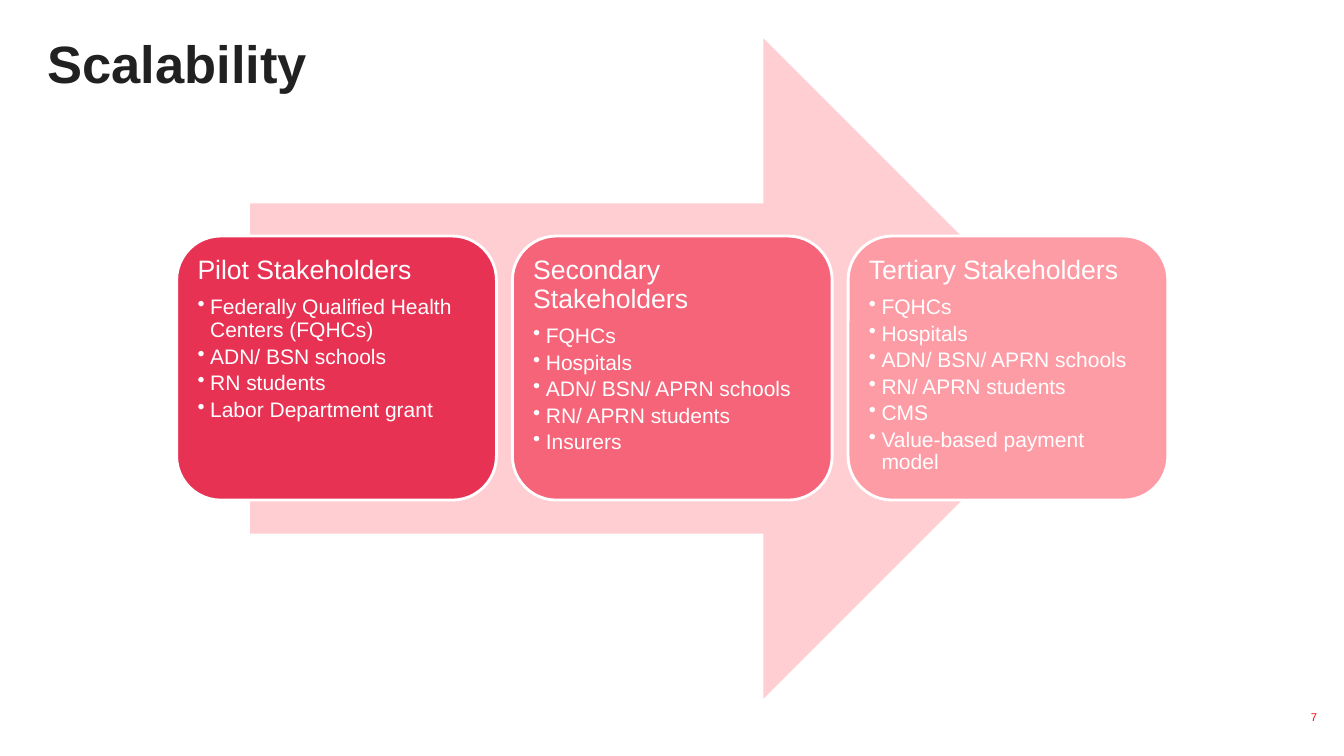
import pptx
import pptx.dml.color
import pptx.enum.shapes
import pptx.enum.text
import pptx.oxml.ns
import pptx.util
import lxml.etree

Pt = pptx.util.Pt
SHAPES = pptx.enum.shapes.MSO_SHAPE
ANCHOR = pptx.enum.text.MSO_ANCHOR
ALIGN = pptx.enum.text.PP_ALIGN


def colour(hex_string):
    return pptx.dml.color.RGBColor.from_string(hex_string)


def add_bullet(paragraph, indent):
    """Hang a round bullet to the left of the paragraph by the indent."""
    properties = paragraph._p.get_or_add_pPr()
    properties.set("marL", str(indent))
    properties.set("indent", str(-indent))
    bullet = lxml.etree.SubElement(properties, pptx.oxml.ns.qn("a:buChar"))
    bullet.set("char", "•")


deck = pptx.Presentation()
deck.slide_width, deck.slide_height = Pt(960), Pt(540)
slide = deck.slides.add_slide(deck.slide_layouts[5])

title = slide.shapes.title
title.left, title.top, title.width, title.height = Pt(34), Pt(21.6), Pt(799), Pt(45.4)
title_frame = title.text_frame
title_frame.margin_left = title_frame.margin_right = 0
title_frame.margin_top = title_frame.margin_bottom = 0
title_frame.vertical_anchor = ANCHOR.BOTTOM
title_frame.text = "Scalability"
heading = title_frame.paragraphs[0]
heading.alignment = ALIGN.LEFT
heading.font.name, heading.font.size, heading.font.bold = "Arial", Pt(37.5), True
heading.font.color.rgb = colour("212121")

page_number = slide.shapes.add_textbox(Pt(912), Pt(499), Pt(36), Pt(26))
page_number.text_frame.word_wrap = True
page_number.text_frame.vertical_anchor = ANCHOR.MIDDLE
page_number.text_frame.text = "7"
number = page_number.text_frame.paragraphs[0]
number.alignment = ALIGN.RIGHT
number.font.name, number.font.size = "Arial", Pt(8)
number.font.color.rgb = colour("FF0000")

growth_arrow = slide.shapes.add_shape(
    SHAPES.RIGHT_ARROW, Pt(178.6), Pt(27.4), Pt(602.6), Pt(471.6))
growth_arrow.shadow.inherit = False
growth_arrow.fill.solid()
growth_arrow.fill.fore_color.rgb = colour("FFCED2")
growth_arrow.line.fill.background()

stages = [
    ("Pilot Stakeholders", "E73254",
     ["Federally Qualified Health Centers (FQHCs)", "ADN/ BSN schools",
      "RN students", "Labor Department grant"]),
    ("Secondary Stakeholders", "F66479",
     ["FQHCs", "Hospitals", "ADN/ BSN/ APRN schools", "RN/ APRN students",
      "Insurers"]),
    ("Tertiary Stakeholders", "FE9CA6",
     ["FQHCs", "Hospitals", "ADN/ BSN/ APRN schools", "RN/ APRN students",
      "CMS", "Value-based payment model"]),
]
stage_left, stage_pitch = 126.2, 239.8

for column, (stage_name, stage_fill, members) in enumerate(stages):
    stage = slide.shapes.add_shape(
        SHAPES.ROUNDED_RECTANGLE, Pt(stage_left + column * stage_pitch),
        Pt(168.6), Pt(228.4), Pt(188.6))
    stage.shadow.inherit = False
    stage.fill.solid()
    stage.fill.fore_color.rgb = colour(stage_fill)
    stage.line.color.rgb = colour("FFFFFF")
    stage.line.width = Pt(2)

    frame = stage.text_frame
    frame.word_wrap = True
    frame.vertical_anchor = ANCHOR.TOP
    frame.margin_left = frame.margin_right = Pt(5.7)
    frame.margin_top = frame.margin_bottom = Pt(5.7)
    frame.text = "\n".join([stage_name] + members)
    for row, paragraph in enumerate(frame.paragraphs):
        paragraph.alignment = ALIGN.LEFT
        paragraph.line_spacing = 0.9
        paragraph.space_after = Pt(2.7 if row else 8)
        paragraph.font.name = "Arial"
        paragraph.font.size = Pt(15 if row else 19)
        paragraph.font.color.rgb = colour("FFFFFF")
        if row:
            paragraph.level = 1
            add_bullet(paragraph, Pt(9))

deck.save("out.pptx")
